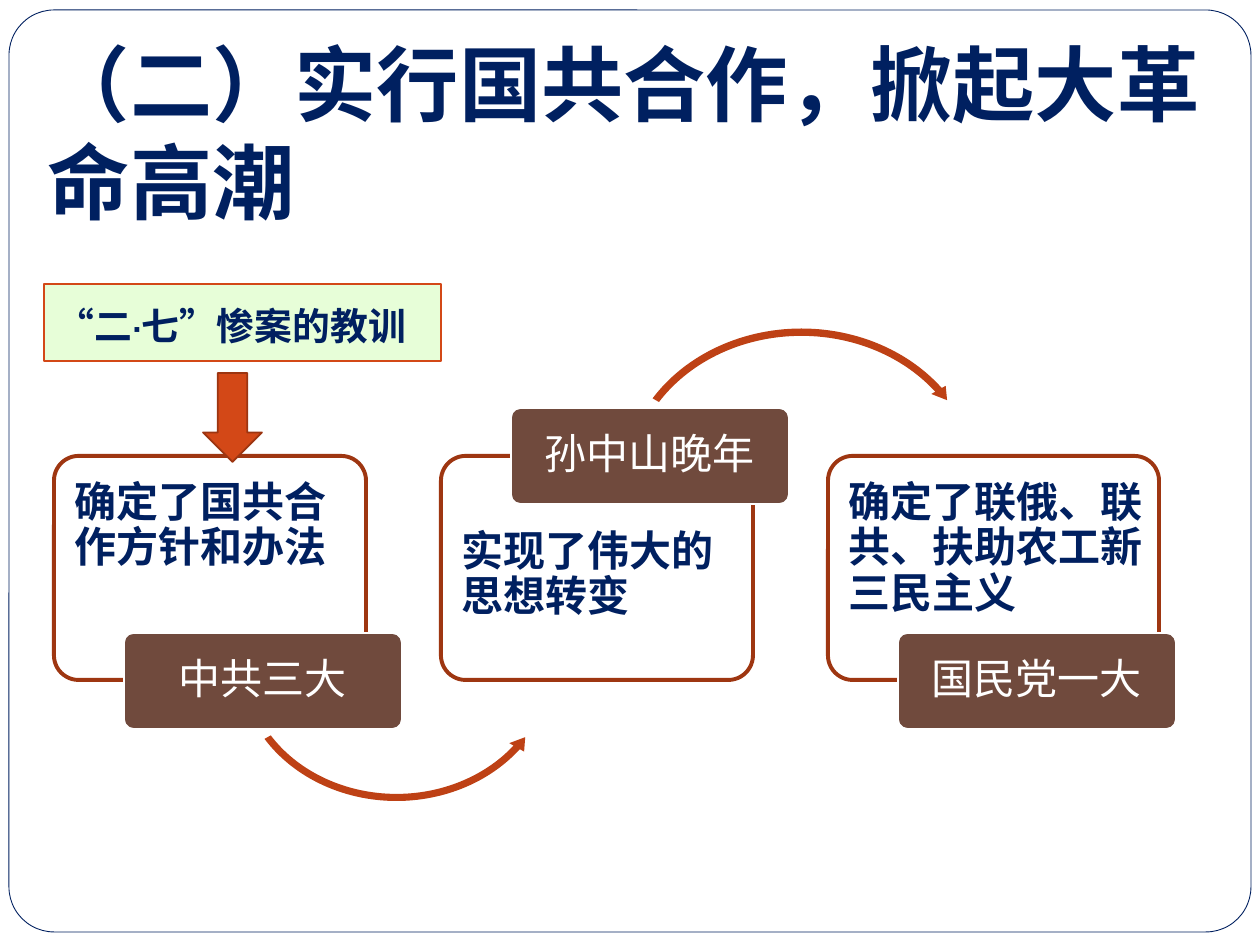
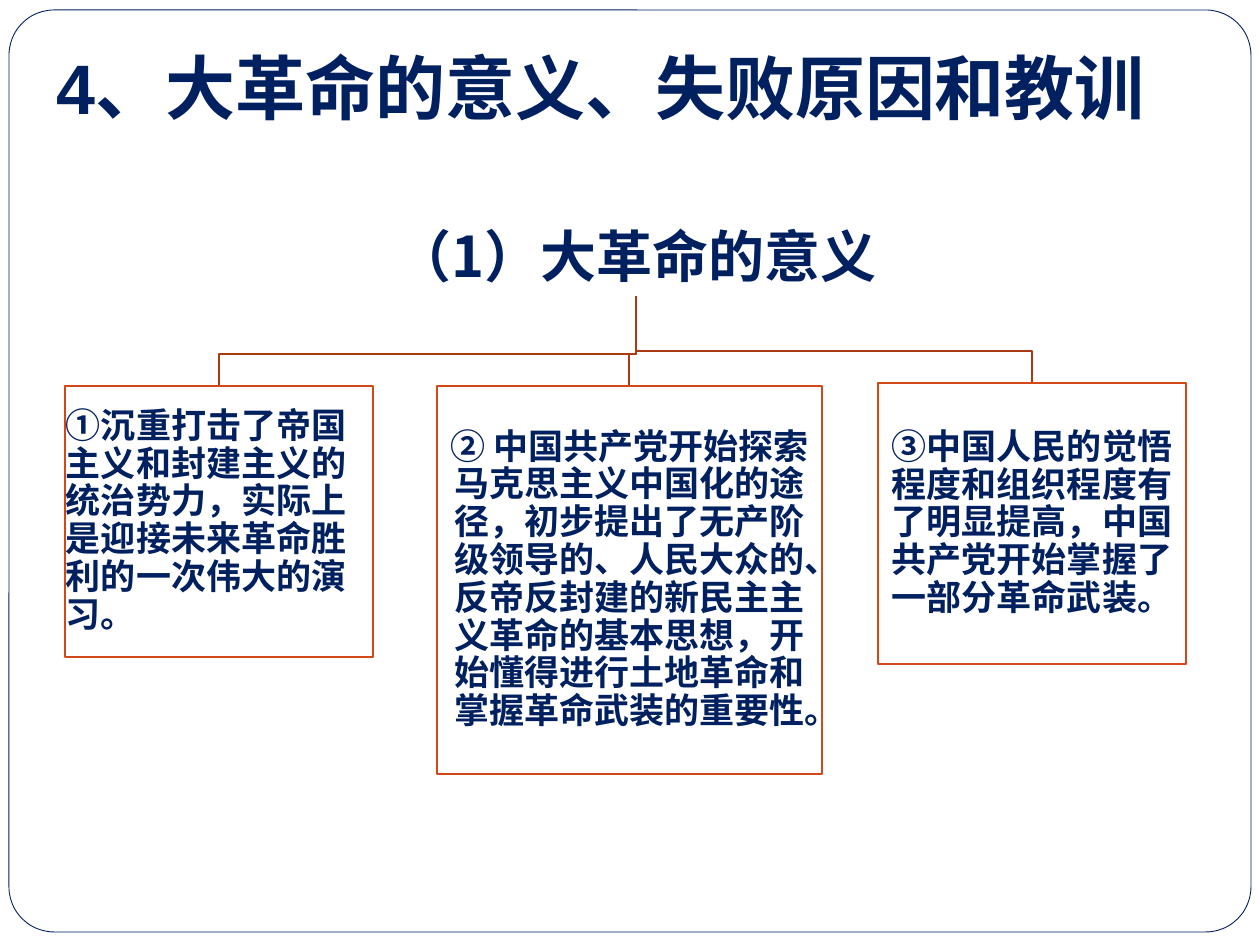
from lxml.etree import SubElement
from pptx import Presentation
from pptx.dml.color import RGBColor
from pptx.enum.shapes import MSO_SHAPE as SHAPE
from pptx.enum.text import MSO_ANCHOR as ANCHOR, PP_ALIGN as ALIGN
from pptx.oxml.ns import qn
from pptx.util import Pt

PX = 7257.14  # EMU per px, 126 px to the inch
CJK = "Noto Sans CJK JP"
SERIF = "Times New Roman"
TIGHT = 0.9  # line spacing inside the diagrams
COLORS = {
    "navy": "002060", "white": "FFFFFF", "mint": "E7FED8", "orange": "D34817",
    "rust": "9E3611", "arrow edge": "9C3511", "branch": "A93A12",
    "arc": "BE4115", "brown": "704A3D",
}

# Slide 1: cooperation between the two parties
COOPERATION = "（二）实行国共合作，掀起大革命高潮"
LESSON = "“二·七”惨案的教训"
STAGES = [  # conclusion, event, frame width, label top, text inset top
    ("确定了国共合作方针和办法", "中共三大", 312, 633, 18),
    ("实现了伟大的思想转变", "孙中山晚年", 312, 408, 67),
    ("确定了联俄、联共、扶助农工新三民主义", "国民党一大", 331, 633, 18),
]
STAGE_LEFT, STAGE_TOP, STAGE_STEP, STAGE_HEIGHT = 54, 456, 387, 224
LABEL_SHIFT, LABEL_WIDTH, LABEL_HEIGHT = 70, 278, 96
ARCS = [  # each arc leads from its stage to the next one
    (SHAPE.LEFT_CIRCULAR_ARROW, (234, 522, 325, 284),
     (0.025, 3.094, 20.849, 90.245, 0.03)),
    (SHAPE.CIRCULAR_ARROW, (619, 324, 365, 318),
     (0.023, 2.738, 195.507, 125.755, 0.026)),
]

# Slide 2: meaning of the revolution
REVOLUTION = "4、大革命的意义、失败原因和教训"
MEANING = "（1）大革命的意义"
MEANING_BOX = (362, 224, 548, 71)
POINTS = [
    ("①沉重打击了帝国主义和封建主义的统治势力，实际上是迎接未来革命胜利的"
     "一次伟大的演习。", (65, 386, 308, 271), ALIGN.LEFT),
    ("② 中国共产党开始探索马克思主义中国化的途径，初步提出了无产阶级领导的、"
     "人民大众的、反帝反封建的新民主主义革命的基本思想，开始懂得进行土地革命和"
     "掌握革命武装的重要性。", (437, 386, 385, 388), ALIGN.CENTER),
    ("③中国人民的觉悟程度和组织程度有了明显提高，中国共产党开始掌握了一部分"
     "革命武装。", (878, 383, 308, 281), ALIGN.CENTER),
]
BRANCH_RISE = 32


def emu(*lengths):
    return [round(length * PX) for length in lengths]


def color(name):
    return RGBColor.from_string(COLORS[name])


def paint(shape, fill=None, line=None, width=1):
    shape.shadow.inherit = False
    if fill:
        shape.fill.solid()
        shape.fill.fore_color.rgb = color(fill)
    else:
        shape.fill.background()
    if line:
        shape.line.color.rgb = color(line)
        shape.line.width = Pt(width)
    else:
        shape.line.fill.background()


def add_block(slide, kind, box, fill, line=None, width=1, adjustments=()):
    shape = slide.shapes.add_shape(kind, *emu(*box))
    paint(shape, fill, line, width)
    for index, value in enumerate(adjustments):
        shape.adjustments[index] = value
    return shape


def write(shape, text, size, font=CJK, ink="navy", bold=True, align=ALIGN.LEFT,
          anchor=ANCHOR.TOP, insets=(13, 6, 13, 6), spacing=1.0):
    frame = shape.text_frame
    frame.word_wrap = True
    frame.vertical_anchor = anchor
    (frame.margin_left, frame.margin_top,
     frame.margin_right, frame.margin_bottom) = emu(*insets)
    paragraph = frame.paragraphs[0]
    paragraph.alignment = align
    paragraph.line_spacing = spacing
    run = paragraph.add_run()
    run.text = text
    run.font.size = Pt(size)
    run.font.bold = bold
    run.font.color.rgb = color(ink)
    run.font.name = font
    SubElement(run.font._element, qn("a:ea"), typeface=CJK)


def add_framed_slide(deck, title, box, size, font):
    slide = deck.slides.add_slide(deck.slide_layouts[6])
    add_block(slide, SHAPE.ROUNDED_RECTANGLE, (9, 10, 1242, 922),
              "white", "navy", 0.5, (0.049,))
    write(slide.shapes.add_textbox(*emu(*box)), title, size, font)
    return slide


def add_stage(slide, index):
    conclusion, event, width, label_top, inset_top = STAGES[index]
    left = STAGE_LEFT + index * STAGE_STEP
    frame = add_block(slide, SHAPE.ROUNDED_RECTANGLE,
                      (left, STAGE_TOP, width, STAGE_HEIGHT),
                      "white", "rust", 2.25, (0.11,))
    tint = frame.fill._xPr.find(qn("a:solidFill"))[0]
    SubElement(tint, qn("a:alpha"), val="90000")
    write(frame, conclusion, 24, SERIF, insets=(13, inset_top, 2, 2),
          spacing=TIGHT)
    if index < len(ARCS):
        kind, box, adjustments = ARCS[index]
        add_block(slide, kind, box, "arc", adjustments=adjustments)
    label = add_block(slide, SHAPE.ROUNDED_RECTANGLE,
                      (left + LABEL_SHIFT, label_top, LABEL_WIDTH, LABEL_HEIGHT),
                      "brown", "white", 1, (0.1,))
    write(label, event, 24, SERIF, "white", False, ALIGN.CENTER, ANCHOR.MIDDLE,
          (5, 3, 5, 3), TIGHT)


def build_cooperation(deck):
    slide = add_framed_slide(deck, COOPERATION, (35, 27, 1183, 189), 47, CJK)
    for index in range(len(STAGES)):
        add_stage(slide, index)
    # Lesson that leads to the first stage
    lesson = add_block(slide, SHAPE.RECTANGLE, (44, 284, 397, 77),
                       "mint", "orange", 0.75)
    write(lesson, LESSON, 21.6, "Cabin", anchor=ANCHOR.BOTTOM,
          insets=(13, 6, 13, 13))
    add_block(slide, SHAPE.DOWN_ARROW, (203, 373, 59, 89),
              "orange", "arrow edge")


def add_branch(slide, box):
    left, top, width, _ = box
    trunk = MEANING_BOX[0] + MEANING_BOX[2] // 2
    start = MEANING_BOX[1] + MEANING_BOX[3]
    center, turn = left + width // 2, top - BRANCH_RISE
    builder = slide.shapes.build_freeform(trunk, start, scale=PX)
    builder.add_line_segments([(trunk, turn), (center, turn), (center, top)],
                              close=False)
    paint(builder.convert_to_shape(), line="branch")


def build_meaning(deck):
    slide = add_framed_slide(deck, REVOLUTION, (44, 39, 1160, 97), 40, "Arial")
    for _, box, _ in reversed(POINTS):
        add_branch(slide, box)
    heading = add_block(slide, SHAPE.RECTANGLE, MEANING_BOX, "white", "white")
    write(heading, MEANING, 32, align=ALIGN.CENTER, anchor=ANCHOR.MIDDLE,
          insets=(3, 3, 3, 3), spacing=TIGHT)
    for point, box, align in POINTS:
        card = add_block(slide, SHAPE.RECTANGLE, box, "white", "orange")
        write(card, point, 20, align=align, anchor=ANCHOR.MIDDLE,
              insets=(1, 1, 1, 1), spacing=TIGHT)


def main():
    deck = Presentation()
    deck.slide_width, deck.slide_height = emu(1260, 945)
    build_cooperation(deck)
    build_meaning(deck)
    deck.save("out.pptx")


if __name__ == "__main__":
    main()
